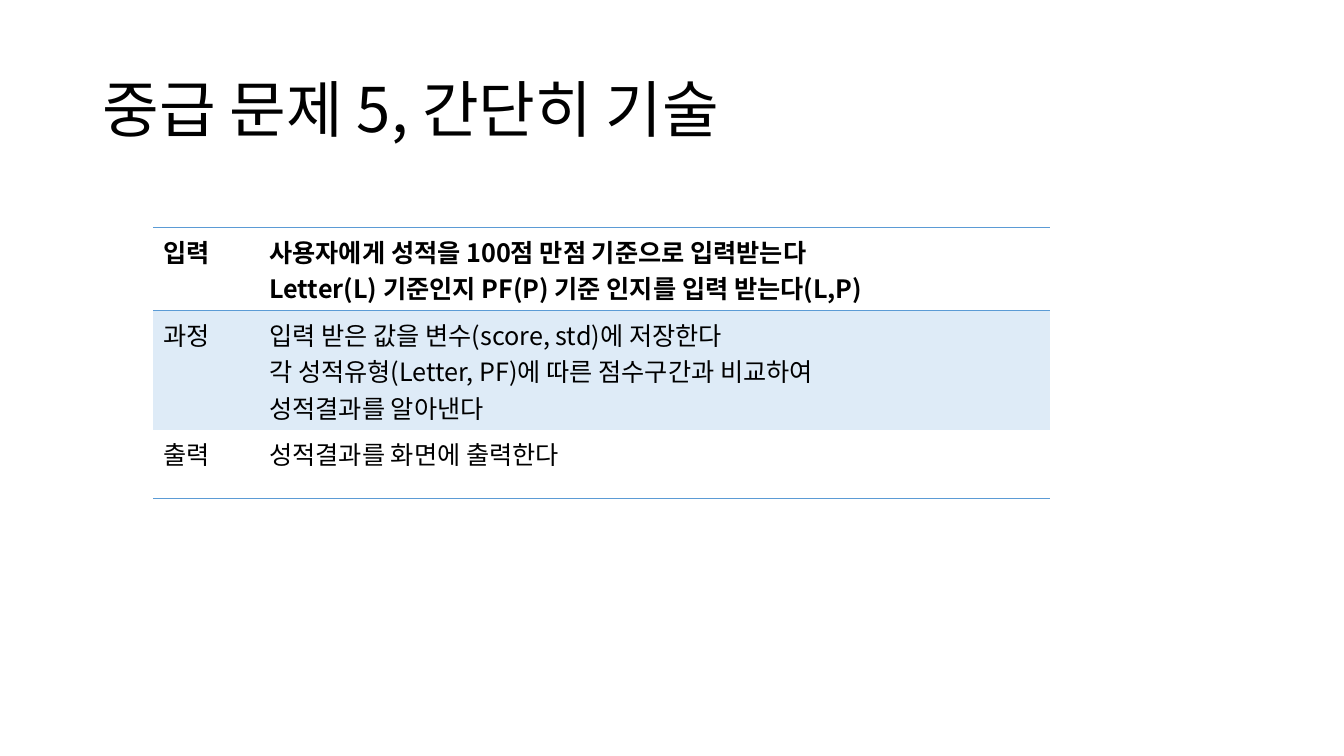
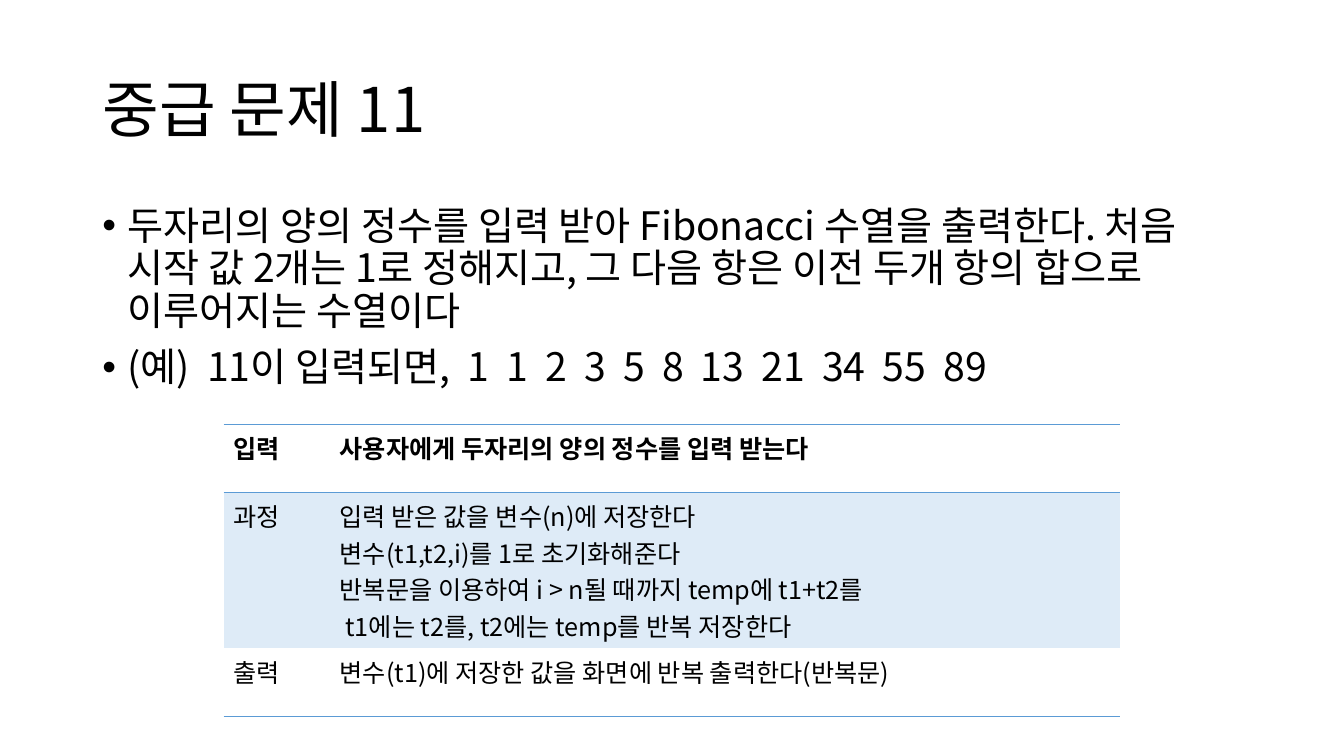
from dataclasses import dataclass

from lxml.etree import SubElement
from pptx import Presentation
from pptx.dml.color import RGBColor as Color
from pptx.enum.text import MSO_ANCHOR as Anchor, MSO_AUTO_SIZE as AutoSize, PP_ALIGN as Align
from pptx.oxml.ns import qn
from pptx.util import Pt

PX = 9525
TITLE_ONLY, TITLE_AND_BODY = 5, 1
NO_STYLE = "{2D5ABB26-0587-4C30-8999-92F81FD0307C}"


@dataclass(frozen=True)
class Theme:
    font: str = "Noto Sans CJK KR"
    ink: str = "000000"
    rule: str = "5B9BD5"
    band: str = "DEEBF7"
    title: int = 44
    body: int = 28
    cell: int = 18
    gap: int = 6
    leading: float = 0.9


THEME = Theme()
TITLE_BOX = (88, 38, 1104, 139)
BODY_BOX = (88, 192, 1104, 457)
COLUMNS = (101, 753)
ROW_HEIGHT = 65
INDENT = 24
RULED_SIDES = (("lnT", "lnB"), ("lnT",), ("lnB",))


def px(value):
    return value * PX


def write(para, text, size, bold=False, tracking=0):
    span = para.add_run()
    span.text = text
    span.font.size = Pt(size)
    span.font.bold = bold
    span.font.color.rgb = Color.from_string(THEME.ink)
    span.font.name = THEME.font
    props = span.font._element
    SubElement(props, qn("a:ea"), typeface=THEME.font)
    if tracking:
        props.set("spc", str(tracking * 100))


def paragraphs(frame, items):
    for index, item in enumerate(items):
        yield (frame.add_paragraph() if index else frame.paragraphs[0]), item


def place(shape, box, anchor):
    shape.left, shape.top, shape.width, shape.height = map(px, box)
    frame = shape.text_frame
    frame.word_wrap = True
    frame.auto_size = AutoSize.NONE
    frame.vertical_anchor = anchor
    return frame


def add_page(deck, layout, title):
    page = deck.slides.add_slide(deck.slide_layouts[layout])
    para = place(page.shapes.title, TITLE_BOX, Anchor.MIDDLE).paragraphs[0]
    para.alignment = Align.LEFT
    para.line_spacing = THEME.leading
    write(para, title, THEME.title)
    return page


def fill_body(page, items):
    frame = place(page.placeholders[1], BODY_BOX, Anchor.TOP)
    for para, pieces in paragraphs(frame, items):
        props = para._p.get_or_add_pPr()
        props.set("marL", str(px(INDENT)))
        props.set("indent", str(-px(INDENT)))
        para.line_spacing = THEME.leading
        para.space_before = Pt(0 if para._p is frame.paragraphs[0]._p else 10)
        for index, piece in enumerate(pieces):
            if index:
                write(para, " ", THEME.body, tracking=THEME.gap)
            write(para, piece, THEME.body)


def draw_rule(cell, side, visible):
    props = cell._tc.get_or_add_tcPr()
    line = SubElement(props, qn(f"a:{side}"), w=str(Pt(1) if visible else 0))
    if visible:
        fill = SubElement(line, qn("a:solidFill"))
        SubElement(fill, qn("a:srgbClr"), val=THEME.rule)
    else:
        SubElement(line, qn("a:noFill"))


def fill_cell(cell, lines, row):
    for para, line in paragraphs(cell.text_frame, lines):
        write(para, line, THEME.cell, bold=row == 0)
    for side in ("lnT", "lnB"):
        draw_rule(cell, side, side in RULED_SIDES[row])
    if row == 1:
        cell.fill.solid()
        cell.fill.fore_color.rgb = Color.from_string(THEME.band)
    else:
        cell.fill.background()


def add_steps(page, left, top, steps):
    box = (left, top, sum(COLUMNS), ROW_HEIGHT * len(steps))
    table = page.shapes.add_table(len(steps), len(COLUMNS), *map(px, box)).table
    table.horz_banding = False
    table._tbl.tblPr.find(qn("a:tableStyleId")).text = NO_STYLE
    for column, width in zip(table.columns, COLUMNS):
        column.width = px(width)
    for row, (label, lines) in enumerate(steps.items()):
        fill_cell(table.cell(row, 0), [label], row)
        fill_cell(table.cell(row, 1), lines, row)


def main():
    deck = Presentation()
    deck.slide_width, deck.slide_height = px(1280), px(720)

    page = add_page(deck, TITLE_ONLY, "중급 문제 5, 간단히 기술")
    add_steps(page, 146, 217, {
        "입력": ["사용자에게 성적을 100점 만점 기준으로 입력받는다",
               "Letter(L) 기준인지 PF(P) 기준 인지를 입력 받는다(L,P)"],
        "과정": ["입력 받은 값을 변수(score, std)에 저장한다",
               "각 성적유형(Letter, PF)에 따른 점수구간과 비교하여",
               "성적결과를 알아낸다"],
        "출력": ["성적결과를 화면에 출력한다"],
    })

    page = add_page(deck, TITLE_AND_BODY, "중급 문제 11")
    fill_body(page, [
        ["두자리의 양의 정수를 입력 받아 Fibonacci 수열을 출력한다. 처음 시작 값 2개는 1로 "
         "정해지고, 그 다음 항은 이전 두개 항의 합으로 이루어지는 수열이다"],
        ["(예)", "11이 입력되면,", *"1 1 2 3 5 8 13 21 34 55 89".split()],
    ])
    add_steps(page, 213, 404, {
        "입력": ["사용자에게 두자리의 양의 정수를 입력 받는다"],
        "과정": ["입력 받은 값을 변수(n)에 저장한다",
               "변수(t1,t2,i)를 1로 초기화해준다",
               "반복문을 이용하여 i > n될 때까지 temp에 t1+t2를",
               " t1에는 t2를, t2에는 temp를 반복 저장한다"],
        "출력": ["변수(t1)에 저장한 값을 화면에 반복 출력한다(반복문)"],
    })
    deck.save("out.pptx")


if __name__ == "__main__":
    main()
